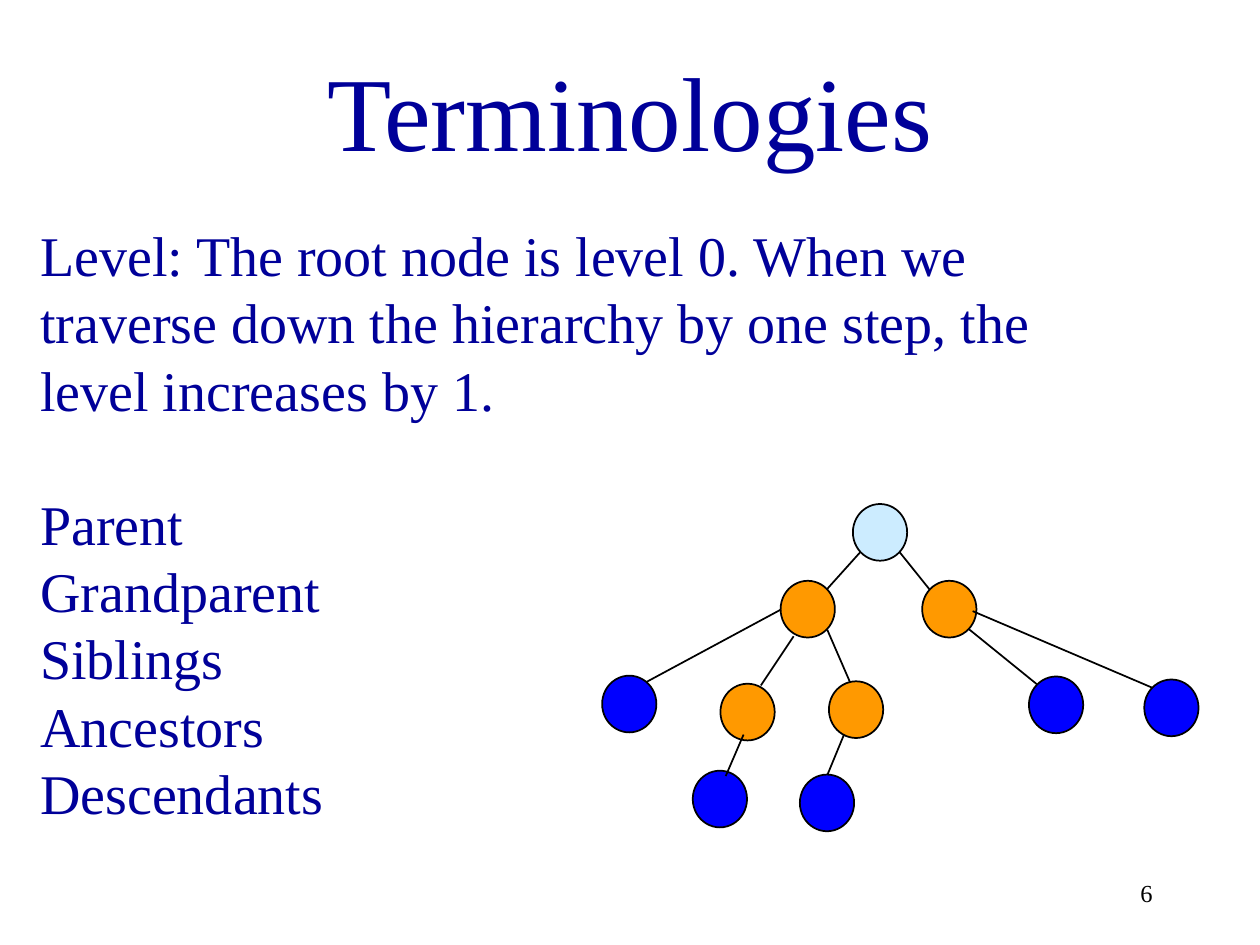
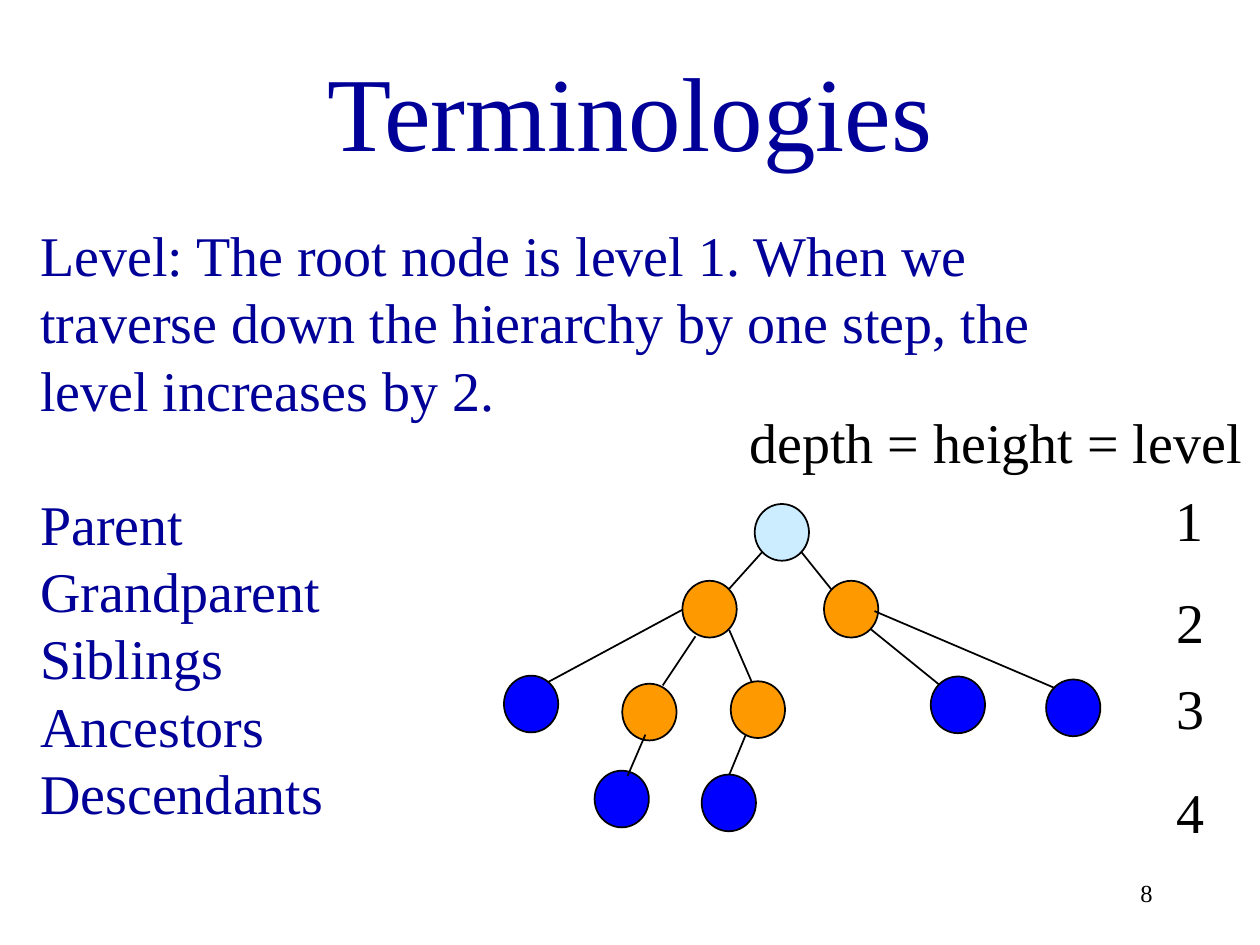
from dataclasses import dataclass

from lxml import etree
from pptx import Presentation
from pptx.dml.color import RGBColor
from pptx.enum.shapes import MSO_CONNECTOR, MSO_SHAPE
from pptx.enum.text import MSO_ANCHOR, MSO_AUTO_SIZE, PP_ALIGN
from pptx.oxml.ns import qn
from pptx.util import Pt

# Content
TITLE = "Terminologies"
LEVEL_RULE = ("Level: The root node is level {root}. When we traverse down the "
              "hierarchy by one step, the level increases by {step}.")
TERMS = ["Parent", "Grandparent", "Siblings", "Ancestors", "Descendants"]

SLIDES = [
    {"root": 0, "step": 1, "number": "6", "tree_left": 344.1, "labels": []},
    {"root": 1, "step": 2, "number": "8", "tree_left": 288,
     "labels": [("depth = height = level", 421.2, 229.3, 298.8),
                ("1", 664.6, 274, 31), ("2", 665.3, 332.3, 31),
                ("3", 665.3, 381.6, 31), ("4", 665.3, 440.6, 31)]},
]

# Tree: left and top of each node, measured from the tree's corner
NODES = {
    "root": [(143.3, 0)],
    "inner": [(102, 43.9), (182.9, 43.9), (67.6, 102.7), (129.6, 101.3)],
    "leaf": [(51.8, 152.4), (113, 154.6), (243.9, 98.6), (309.8, 100.3), (0, 98.1)],
}
# Tree: upper and lower end of each branch
BRANCHES = [
    ((147.6, 27.4), (128.2, 49)), ((169.9, 27.4), (187.2, 49)),
    ((102.2, 60.3), (25.5, 101.6)), ((109.4, 75.6), (90.7, 103.7)),
    ((128.7, 72), (141.8, 102.2)), ((209.3, 71.3), (248.4, 103)),
    ((211.7, 61.2), (314.6, 105.1)), ((80.8, 131.8), (70.6, 155.5)),
    ((138.2, 131.8), (128.7, 154.8)),
]
TREE_TOP = 288
NODE_SIZE = (31, 32.4)


@dataclass(frozen=True)
class Theme:
    font: str = "Times New Roman"
    heading: RGBColor = RGBColor(0x00, 0x00, 0x99)
    ink: RGBColor = RGBColor(0x00, 0x00, 0x00)
    root: RGBColor = RGBColor(0xCC, 0xEC, 0xFF)
    inner: RGBColor = RGBColor(0xFF, 0x99, 0x00)
    leaf: RGBColor = RGBColor(0x00, 0x00, 0xFF)
    title_size: float = 60
    body_size: float = 32
    number_size: float = 14
    body_line: float = 38.4
    line_width: float = 1


THEME = Theme()


# Helpers
def place(shape, left, top, width, height):
    shape.left, shape.top, shape.width, shape.height = map(Pt, (left, top, width, height))


def style_text(paragraph, size, color, alignment=PP_ALIGN.LEFT):
    paragraph.alignment = alignment
    for run in paragraph.runs:
        run.font.name = THEME.font
        run.font.size = Pt(size)
        run.font.color.rgb = color


def add_label(slide, text, left, top, width, height, size, alignment=PP_ALIGN.LEFT):
    label = slide.shapes.add_textbox(Pt(left), Pt(top), Pt(width), Pt(height))
    label.text_frame.text = text
    style_text(label.text_frame.paragraphs[0], size, THEME.ink, alignment)
    return label.text_frame


# Slide parts
def fill_title(slide):
    title = slide.shapes.title
    place(title, 54, 12.2, 612, 90)
    frame = title.text_frame
    frame.text = TITLE
    frame.auto_size = MSO_AUTO_SIZE.NONE
    frame.vertical_anchor = MSO_ANCHOR.BOTTOM
    style_text(frame.paragraphs[0], THEME.title_size, THEME.heading, PP_ALIGN.CENTER)


def fill_body(slide, rule):
    body = slide.placeholders[1]
    place(body, 15.8, 178, 643, 241.9)
    frame = body.text_frame
    frame.text = "\n".join([rule, *TERMS])
    frame.auto_size = MSO_AUTO_SIZE.NONE
    frame.vertical_anchor = MSO_ANCHOR.MIDDLE
    for index, paragraph in enumerate(frame.paragraphs):
        properties = paragraph._p.get_or_add_pPr()
        properties.set("marL", "0")
        properties.set("indent", "0")
        etree.SubElement(properties, qn("a:buNone"))
        paragraph.line_spacing = Pt(THEME.body_line)
        paragraph.space_before = Pt(THEME.body_line if index == 1 else 0)
        style_text(paragraph, THEME.body_size, THEME.heading)


def add_tree(slide, tree_left):
    tree = slide.shapes.add_group_shape().shapes
    for kind, corners in NODES.items():
        for left, top in corners:
            node = tree.add_shape(MSO_SHAPE.OVAL, Pt(tree_left + left),
                                  Pt(TREE_TOP + top), *map(Pt, NODE_SIZE))
            node.shadow.inherit = False
            node.fill.solid()
            node.fill.fore_color.rgb = getattr(THEME, kind)
            node.line.color.rgb = THEME.ink
            node.line.width = Pt(THEME.line_width)
    for (start_x, start_y), (end_x, end_y) in BRANCHES:
        branch = tree.add_connector(
            MSO_CONNECTOR.STRAIGHT, Pt(tree_left + start_x), Pt(TREE_TOP + start_y),
            Pt(tree_left + end_x), Pt(TREE_TOP + end_y))
        branch.line.color.rgb = THEME.ink
        branch.line.width = Pt(THEME.line_width)
        etree.SubElement(branch._element.spPr, qn("a:effectLst"))


def add_slide_number(slide, number):
    frame = add_label(slide, number, 516, 492.2, 149.8, 36,
                      THEME.number_size, PP_ALIGN.RIGHT)
    frame.word_wrap = True
    frame.vertical_anchor = MSO_ANCHOR.MIDDLE


def main():
    presentation = Presentation()
    presentation.slide_width, presentation.slide_height = Pt(720), Pt(540)
    for content in SLIDES:
        slide = presentation.slides.add_slide(presentation.slide_layouts[1])
        fill_title(slide)
        fill_body(slide, LEVEL_RULE.format(root=content["root"], step=content["step"]))
        add_tree(slide, content["tree_left"])
        for text, left, top, width in content["labels"]:
            add_label(slide, text, left, top, width, 46.1, THEME.body_size)
        add_slide_number(slide, content["number"])
    presentation.save("out.pptx")


if __name__ == "__main__":
    main()
